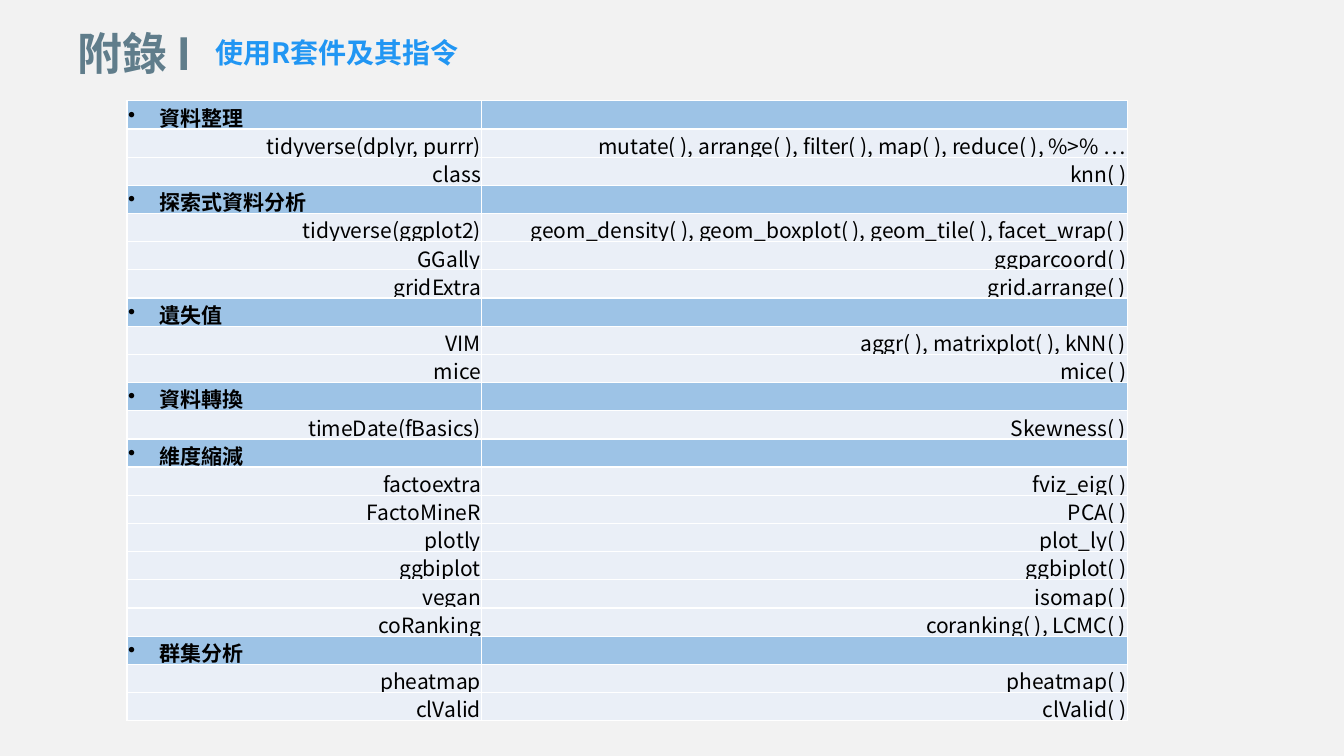
"""Build the appendix slide listing R packages and their commands."""
from dataclasses import dataclass

import lxml.etree
import pptx
import pptx.dml.color
import pptx.enum.text
import pptx.oxml.ns
import pptx.util

Inches = pptx.util.Inches
Pt = pptx.util.Pt
Align = pptx.enum.text.PP_ALIGN
Anchor = pptx.enum.text.MSO_ANCHOR
qn = pptx.oxml.ns.qn

SECTIONS = [
    ("資料整理", [
        ("tidyverse(dplyr, purrr)", "mutate( ), arrange( ), filter( ), map( ), reduce( ), %>% …"),
        ("class", "knn( )"),
    ]),
    ("探索式資料分析", [
        ("tidyverse(ggplot2)", "geom_density( ), geom_boxplot( ), geom_tile( ), facet_wrap( )"),
        ("GGally", "ggparcoord( )"),
        ("gridExtra", "grid.arrange( )"),
    ]),
    ("遺失值", [
        ("VIM", "aggr( ), matrixplot( ), kNN( )"),
        ("mice", "mice( )"),
    ]),
    ("資料轉換", [("timeDate(fBasics)", "Skewness( )")]),
    ("維度縮減", [
        ("factoextra", "fviz_eig( )"),
        ("FactoMineR", "PCA( )"),
        ("plotly", "plot_ly( )"),
        ("ggbiplot", "ggbiplot( )"),
        ("vegan", "isomap( )"),
        ("coRanking", "coranking( ), LCMC( )"),
    ]),
    ("群集分析", [
        ("pheatmap", "pheatmap( )"),
        ("clValid", "clValid( )"),
    ]),
]


@dataclass(frozen=True)
class Theme:
    """Colours, fonts and type sizes of the slide."""

    background: str = "F2F2F2"
    title: str = "607D8B"
    subtitle: str = "2196F3"
    text: str = "000000"
    section: str = "9DC3E6"
    row: str = "EAEFF7"
    border: str = "FFFFFF"
    title_font: str = "Calibri"
    body_font: str = "Noto Sans CJK SC"
    title_size: int = 32
    mark_size: int = 36
    subtitle_size: int = 20
    table_size: int = 15


class SlideBuilder:
    """Draws styled elements on the current slide."""

    def __init__(self, presentation, theme):
        """Add a title slide with a plain background."""
        self.theme = theme
        self.slide = presentation.slides.add_slide(presentation.slide_layouts[5])
        self.fill(self.slide.background.fill, theme.background)

    def fill(self, fill, color):
        """Apply a solid colour to a fill."""
        fill.solid()
        fill.fore_color.rgb = pptx.dml.color.RGBColor.from_string(color)

    def style(self, paragraph, font_name, size, color, bold, align):
        """Set the font and alignment of a paragraph."""
        paragraph.alignment = align
        font = paragraph.font
        font.name, font.size, font.bold = font_name, Pt(size), bold
        font.color.rgb = pptx.dml.color.RGBColor.from_string(color)

    def title(self, text, mark, left, top, width, height):
        """Place the title followed by a larger mark."""
        shape = self.slide.shapes.title
        shape.left, shape.top, shape.width, shape.height = map(Inches, (left, top, width, height))
        frame = shape.text_frame
        frame.auto_size = pptx.enum.text.MSO_AUTO_SIZE.SHAPE_TO_FIT_TEXT
        frame.vertical_anchor = Anchor.MIDDLE
        paragraph = frame.paragraphs[0]
        theme = self.theme
        self.style(paragraph, theme.title_font, theme.title_size, theme.title, True, Align.CENTER)
        paragraph.add_run().text = text
        mark_run = paragraph.add_run()
        mark_run.text = mark
        mark_run.font.size = Pt(theme.mark_size)

    def subtitle(self, text, left, top, width, height):
        """Place the subtitle in a text box."""
        shape = self.slide.shapes.add_textbox(*map(Inches, (left, top, width, height)))
        frame = shape.text_frame
        frame.word_wrap = True
        frame.auto_size = pptx.enum.text.MSO_AUTO_SIZE.SHAPE_TO_FIT_TEXT
        paragraph = frame.paragraphs[0]
        paragraph.text = text
        theme = self.theme
        self.style(paragraph, theme.body_font, theme.subtitle_size, theme.subtitle, True, Align.CENTER)

    def bullet(self, paragraph):
        """Give a paragraph a hanging bullet."""
        properties = paragraph._p.get_or_add_pPr()
        properties.set("marL", str(Inches(0.31)))
        properties.set("indent", str(Inches(-0.31)))
        lxml.etree.SubElement(properties, qn("a:buChar"), char="•")

    def border(self, cell):
        """Draw a thin line on all four sides of a cell."""
        properties = cell._tc.get_or_add_tcPr()
        for side in ("a:lnL", "a:lnR", "a:lnT", "a:lnB"):
            line = lxml.etree.SubElement(properties, qn(side), w=str(Pt(1)))
            solid = lxml.etree.SubElement(line, qn("a:solidFill"))
            lxml.etree.SubElement(solid, qn("a:srgbClr"), val=self.theme.border)

    def cell(self, cell, text, is_section):
        """Fill one table cell with text and style."""
        theme = self.theme
        self.border(cell)
        self.fill(cell.fill, theme.section if is_section else theme.row)
        cell.margin_left = cell.margin_right = cell.margin_top = Inches(0.01)
        cell.margin_bottom = 0
        cell.vertical_anchor = Anchor.MIDDLE
        paragraph = cell.text_frame.paragraphs[0]
        if text:
            paragraph.text = text
            if is_section:
                self.bullet(paragraph)
        align = Align.LEFT if is_section else Align.RIGHT
        self.style(paragraph, theme.body_font, theme.table_size, theme.text, is_section, align)

    def table(self, sections, left, top, column_widths, height):
        """Draw the sections as a table with a heading row for each."""
        rows = []
        for heading, packages in sections:
            rows.append((True, (heading, "")))
            rows.extend((False, package) for package in packages)
        table = self.slide.shapes.add_table(
            len(rows), len(column_widths), Inches(left), Inches(top),
            Inches(sum(column_widths)), Inches(height)).table
        table.first_row = table.horz_banding = False
        for column, width in zip(table.columns, column_widths):
            column.width = Inches(width)
        for row, (is_section, texts) in zip(table.rows, rows):
            for cell, text in zip(row.cells, texts):
                self.cell(cell, text, is_section)


def main():
    """Create the presentation and save it."""
    presentation = pptx.Presentation()
    presentation.slide_width = Inches(13.33)
    presentation.slide_height = Inches(7.5)
    builder = SlideBuilder(presentation, Theme())
    builder.title("附錄 ", "I ", -0.23, 0.14, 3.23, 0.71)
    builder.subtitle("使用R套件及其指令", 1.77, 0.3, 3.15, 0.44)
    builder.table(SECTIONS, 1.26, 1, (3.52, 6.4), 6.15)
    presentation.save("out.pptx")


if __name__ == "__main__":
    main()
